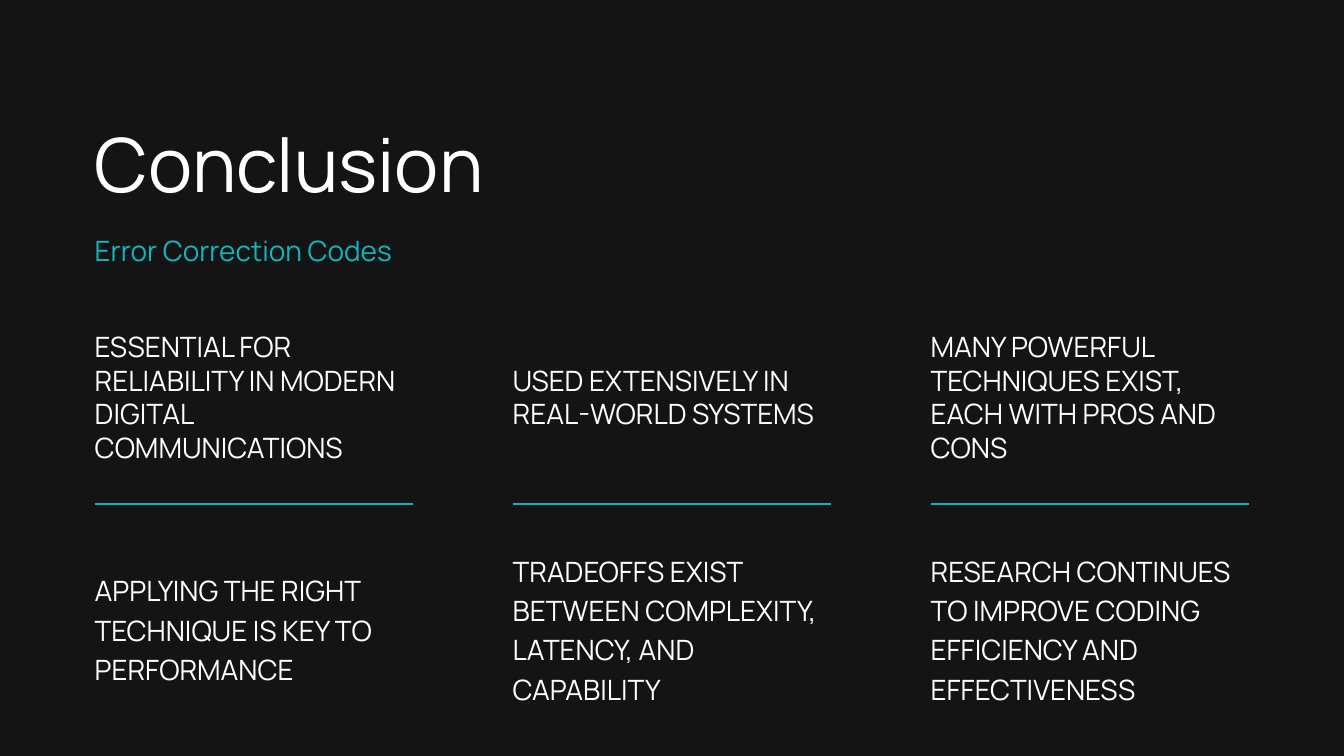
import pptx
import pptx.util
import pptx.dml.color
import pptx.enum.text
import pptx.oxml
import pptx.oxml.ns

Inches = pptx.util.Inches
Pt = pptx.util.Pt
Color = pptx.dml.color.RGBColor
Anchor = pptx.enum.text.MSO_ANCHOR

DARK = Color(0x14, 0x14, 0x14)
WHITE = Color(0xFF, 0xFF, 0xFF)
TEAL = Color(0x10, 0xB5, 0xBF)
FONT = "Manrope"

POINTS = [
    ["ESSENTIAL FOR RELIABILITY IN MODERN DIGITAL COMMUNICATIONS",
     "USED EXTENSIVELY IN REAL-WORLD SYSTEMS",
     "MANY POWERFUL TECHNIQUES EXIST, EACH WITH PROS AND CONS"],
    ["APPLYING THE RIGHT TECHNIQUE IS KEY TO PERFORMANCE",
     "TRADEOFFS EXIST BETWEEN COMPLEXITY, LATENCY, AND CAPABILITY",
     "RESEARCH CONTINUES TO IMPROVE CODING EFFICIENCY AND EFFECTIVENESS"],
]


def style(para, size, color, lead):
    para.alignment = pptx.enum.text.PP_ALIGN.LEFT
    para.line_spacing = Pt(lead)
    para.space_before = Pt(0)
    for run in para.runs:
        run.font.name = FONT
        run.font.size = Pt(size)
        run.font.color.rgb = color


def heading(holder, box, text, size, color, lead):
    holder.left, holder.top, holder.width, holder.height = map(Inches, box)
    frame = holder.text_frame
    frame.text = text
    frame.word_wrap = True
    frame.auto_size = pptx.enum.text.MSO_AUTO_SIZE.NONE
    frame.vertical_anchor = Anchor.TOP
    frame.margin_left = frame.margin_right = 0
    frame.margin_top = frame.margin_bottom = 0
    style(frame.paragraphs[0], size, color, lead)


def borders(cell, ruled):
    props = cell._tc.get_or_add_tcPr()
    for side in ("L", "R", "T", "B"):
        if side == ruled:
            width = Pt(1.5)
            fill = f'<a:solidFill><a:srgbClr val="{TEAL}"/></a:solidFill>'
        else:
            width, fill = 0, "<a:noFill/>"
        props.append(pptx.oxml.parse_xml(
            f'<a:ln{side} {pptx.oxml.ns.nsdecls("a")} w="{width}">{fill}</a:ln{side}>'))


def grid(slide, box):
    left, top, width, height = box
    gap, upper = 1.49, 3.11
    wide = (width - 2 * gap) / 3
    table = slide.shapes.add_table(2, 5, *map(Inches, box)).table
    table.first_row = table.horz_banding = False
    for col, size in zip(table.columns, [wide, gap, wide, gap, wide]):
        col.width = Inches(size)
    for row, size in zip(table.rows, [upper, height - upper]):
        row.height = Inches(size)
    for r, (ruled, lead) in enumerate([("B", 36), ("T", 42)]):
        for c in range(5):
            cell = table.cell(r, c)
            filled = c % 2 == 0
            borders(cell, ruled if filled else None)
            cell.fill.background()
            cell.vertical_anchor = Anchor.MIDDLE
            cell.margin_left = cell.margin_right = 0
            cell.margin_top = cell.margin_bottom = 0
            if filled:
                cell.text_frame.text = POINTS[r][c // 2]
                style(cell.text_frame.paragraphs[0], 30, WHITE, lead)


def main():
    deck = pptx.Presentation()
    deck.slide_width = Inches(20)
    deck.slide_height = Inches(11.25)
    slide = deck.slides.add_slide(deck.slide_layouts[0])
    slide.background.fill.solid()
    slide.background.fill.fore_color.rgb = DARK
    heading(slide.shapes.title, (1.41, 1.76, 16.22, 1.34),
            "Conclusion", 80, WHITE, 96)
    heading(slide.placeholders[1], (1.41, 3.47, 16.22, 0.51),
            "Error Correction Codes", 30, TEAL, 36)
    grid(slide, (1.41, 4.39, 17.17, 6.86))
    deck.save("out.pptx")


if __name__ == "__main__":
    main()
